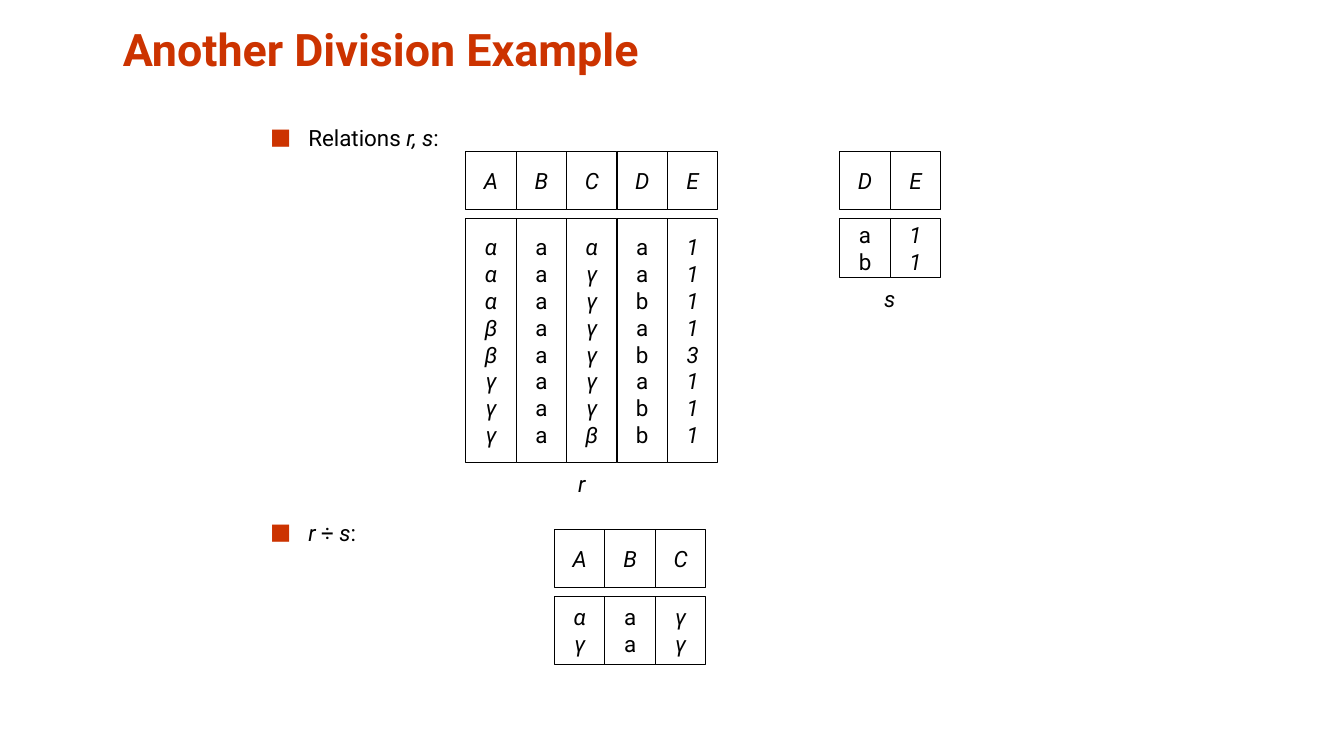
from lxml.etree import SubElement
from pptx import Presentation
from pptx.dml.color import RGBColor
from pptx.enum.shapes import MSO_SHAPE as Shape
from pptx.enum.text import MSO_ANCHOR as Anchor, PP_ALIGN as Align
from pptx.oxml.ns import qn
from pptx.util import Inches, Pt


def color(value):
    return RGBColor.from_string(value)


class DivisionSlide:
    font_name = "Roboto"
    black = "000000"
    white = "FFFFFF"
    accent = "CC3300"
    cell_width = 0.5
    header_height = 0.58
    body_offset = 0.67
    upright_columns = "BD"

    def __init__(self, presentation):
        self.slide = presentation.slides.add_slide(presentation.slide_layouts[6])

    def add_run(self, paragraph, text, italic=False, bold=False, size=16, hue=black):
        run = paragraph.add_run()
        run.text = text
        values = {"name": self.font_name, "size": Pt(size), "italic": italic, "bold": bold}
        for name, value in values.items():
            setattr(run.font, name, value)
        run.font.color.rgb = color(hue)

    def text_box(self, left, top, width, height, wrap=True, anchor=Anchor.TOP):
        box = self.slide.shapes.add_textbox(
            Inches(left), Inches(top), Inches(width), Inches(height))
        frame = box.text_frame
        frame.word_wrap = wrap
        frame.vertical_anchor = anchor
        return frame.paragraphs[0]

    def title(self, text):
        paragraph = self.text_box(1.12, 0.13, 11.78, 0.67, anchor=Anchor.BOTTOM)
        self.add_run(paragraph, text, bold=True, size=32, hue=self.accent)

    def bullet(self, left, top, width, runs):
        paragraph = self.text_box(left, top, width, 0.36)
        properties = paragraph._p.get_or_add_pPr()
        indent = Inches(0.38)
        properties.set("marL", str(indent))
        properties.set("indent", str(-indent))
        bullet_color = SubElement(properties, qn("a:buClr"))
        SubElement(bullet_color, qn("a:srgbClr"), val=self.accent)
        SubElement(properties, qn("a:buFont"), typeface=self.font_name)
        SubElement(properties, qn("a:buChar"), char="■")
        for text, italic in runs:
            self.add_run(paragraph, text, italic)

    def label(self, left, top, width, text):
        paragraph = self.text_box(left, top, width, 0.37, wrap=False, anchor=Anchor.MIDDLE)
        paragraph.alignment = Align.CENTER
        self.add_run(paragraph, text, italic=True)

    def cell(self, left, top, height, lines, italic=True):
        shape = self.slide.shapes.add_shape(
            Shape.RECTANGLE, Inches(left), Inches(top),
            Inches(self.cell_width), Inches(height))
        shape.shadow.inherit = False
        shape.fill.solid()
        shape.fill.fore_color.rgb = color(self.white)
        shape.line.color.rgb = color(self.black)
        shape.line.width = Pt(0.75)
        frame = shape.text_frame
        frame.word_wrap = False
        frame.vertical_anchor = Anchor.MIDDLE
        for index, text in enumerate(lines):
            paragraph = frame.add_paragraph() if index else frame.paragraphs[0]
            paragraph.alignment = Align.CENTER
            self.add_run(paragraph, text, italic)

    def relation(self, left, top, body_height, columns):
        for index, (name, values) in enumerate(columns.items()):
            cell_left = left + index * self.cell_width
            self.cell(cell_left, top, self.header_height, name)
            self.cell(cell_left, top + self.body_offset, body_height, values,
                      italic=name not in self.upright_columns)


def main():
    presentation = Presentation()
    presentation.slide_width = Inches(13.33)
    presentation.slide_height = Inches(7.5)

    slide = DivisionSlide(presentation)
    slide.title("Another Division Example")

    slide.bullet(2.58, 1.18, 2.33, [("Relations ", False), ("r, s", True), (":", False)])
    slide.relation(4.62, 1.5, 2.42, {
        "A": "αααββγγγ",
        "B": "aaaaaaaa",
        "C": "αγγγγγγβ",
        "D": "aabababb",
        "E": "11113111",
    })
    slide.label(5.63, 4.61, 0.28, "r")
    slide.relation(8.33, 1.5, 0.58, {"D": "ab", "E": "11"})
    slide.label(8.67, 2.78, 0.31, "s")

    slide.bullet(2.58, 5.1, 1.42, [("r ", True), ("÷ ", False), ("s", True), (":", False)])
    slide.relation(5.5, 5.25, 0.67, {"A": "αγ", "B": "aa", "C": "γγ"})

    presentation.save("out.pptx")


if __name__ == "__main__":
    main()
